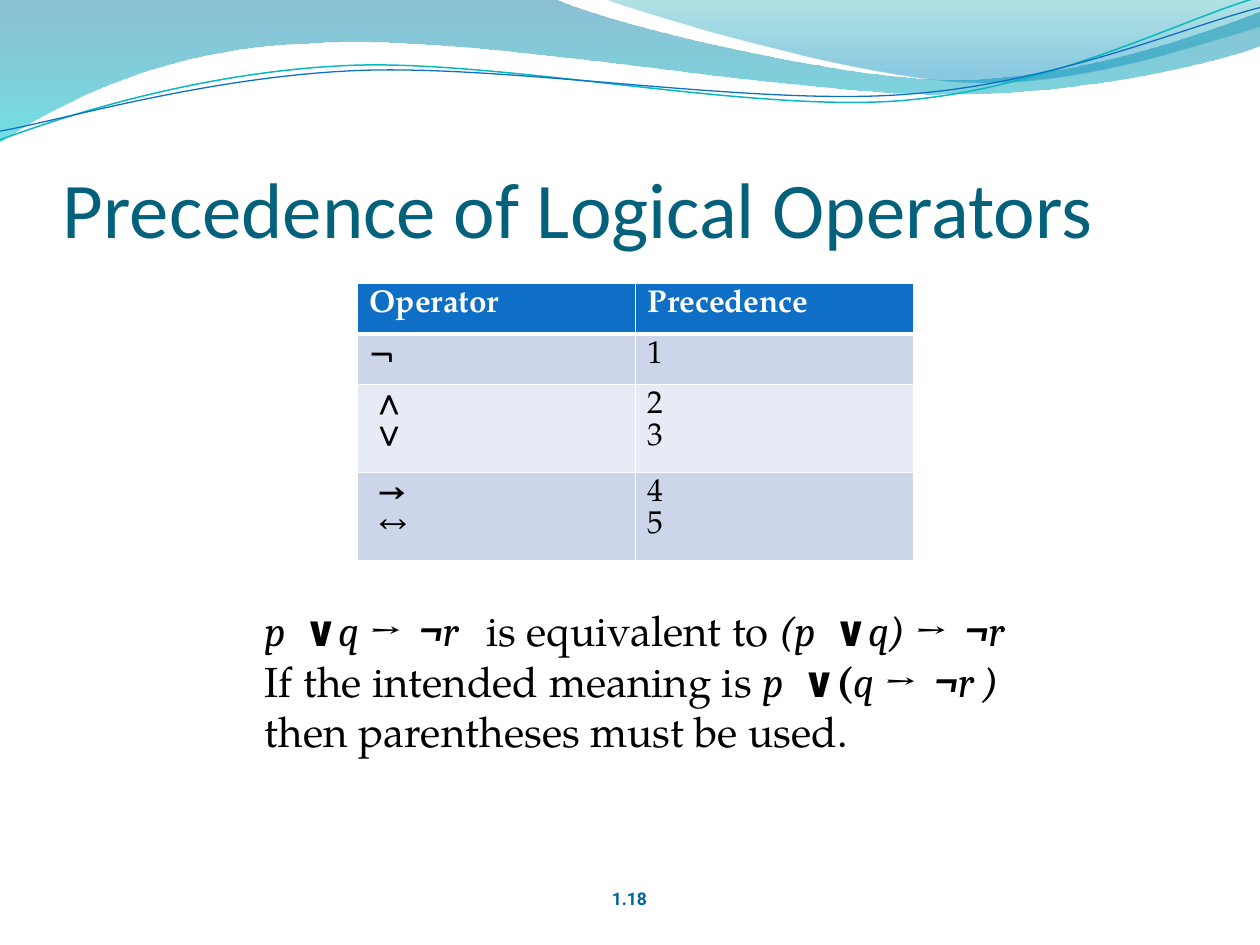
from dataclasses import dataclass
from math import cos, radians, sin
from typing import Optional

from lxml.etree import SubElement
from pptx import Presentation
from pptx.dml.color import RGBColor
from pptx.enum.text import MSO_ANCHOR as Anchor, PP_ALIGN as Align
from pptx.oxml.ns import qn
from pptx.util import Pt

SERIF, MATH = "TeX Gyre Pagella", "Cambria"
BLUE, WHITE, BLACK = "0F6FC6", "FFFFFF", "000000"
TILT, TILT_CENTER = 2.7, (359.4, 42)


@dataclass
class Stop:
    position: float
    color: str
    opacity: int


@dataclass
class Wave:
    start: tuple
    segments: list
    stops: tuple = ()
    line: Optional[tuple] = None


@dataclass
class Run:
    text: str
    name: str = SERIF
    size: float = 24
    color: str = BLACK
    bold: bool = False
    italic: bool = False


@dataclass
class Label:
    box: tuple
    paragraphs: list
    margins: tuple = (7.2, 3.6, 7.2, 3.6)
    anchor: Anchor = Anchor.TOP
    align: Align = Align.LEFT
    wrap: bool = True


@dataclass
class Row:
    height: float
    cells: tuple
    fill: str
    color: str = BLACK
    bold: tuple = (True, False)
    top: float = 1
    bottom: float = 1


def rgb(value: str) -> RGBColor:
    return RGBColor.from_string(value)


def upright(text: str) -> Run:
    return Run(text)


def italic(text: str) -> Run:
    return Run(text, MATH, italic=True)


def bold(text: str) -> Run:
    return Run(text, MATH, bold=True)


def bold_italic(text: str) -> Run:
    return Run(text, MATH, bold=True, italic=True)


WAVES = [
    Wave((0, 0), [(316.8, -0.7), (342.7, 12.2, 478.1, 45.4, 545.8, 45.4),
                  (614.2, 45.4, 689.8, 18.7, 720, 6.5), (720.7, 25.9),
                  (707.8, 31.7, 626.4, 54.7, 537.1, 54),
                  (447.8, 54, 275, 20.2, 185, 24.5),
                  (92.9, 25.9, 33.1, 59.8, -0.7, 81.4)],
         stops=(Stop(0, "0074A1", 45), Stop(1, "00C6CF", 55))),
    Wave((344.9, -0.7), [(366.5, 7.9, 491, 44.6, 553.7, 46.8),
                         (616.3, 49.7, 691.9, 23, 720, 15.1), (720, 0)],
         stops=(Stop(0, "00A1A9", 30), Stop(0.8, "008BBF", 45))),
    Wave((0, 79.9), [(34.6, 67, 113.8, 41, 199.4, 37.4),
                     (284.4, 33.8, 427, 64.1, 513.4, 57.6),
                     (599.8, 51.1, 675.4, 10.8, 718.6, -1.4)],
         line=("0AB8BF", 0.85)),
    Wave((0, 74.9), [(33.8, 69.1, 118.1, 43.9, 203.8, 40.3),
                     (290.2, 36.7, 429.8, 60.5, 516.2, 54),
                     (601.9, 48.2, 677.5, 15.1, 720, 4.3)],
         line=(BLUE, 0.75)),
]

LABELS = [
    Label((342, 504, 35.3, 19.4), [[Run("1.18", "Roboto", 10, "006699", True)]],
          align=Align.CENTER, wrap=False),
    Label((36, 55.4, 648, 90),
          [[Run("Precedence of Logical Operators", "Calibri", 45, "04617B")]],
          margins=(0, 3.6, 0, 0), anchor=Anchor.BOTTOM),
    Label((144, 342, 450, 152.6), [
        [italic("p  "), bold("∨"), italic("q "), bold_italic("→  ¬"), italic("r   "),
         upright("is equivalent to "), italic("(p  "), bold("∨"), italic("q)"),
         bold_italic(" →  ¬"), italic("r")],
        [upright("If the intended meaning is "), italic("p  "), bold("∨("), italic("q "),
         bold_italic("→  ¬"), italic("r )")],
        [upright("then parentheses must be used.")],
    ]),
]

ROWS = [
    Row(27.8, (["Operator"], ["Precedence"]), BLUE, WHITE, (True, True), bottom=3),
    Row(27.8, (["¬"], ["1"]), "CCD5EA", top=3),
    Row(49.3, ([" ∧", " ∨"], ["2", "3"]), "E7EBF5"),
    Row(49.3, ([" →", " ↔"], ["4", "5"]), "CCD5EA"),
]


def turn(point: tuple, degrees: float) -> tuple:
    (cx, cy), a = TILT_CENTER, radians(degrees)
    dx, dy = point[0] - cx, point[1] - cy
    return cx + dx * cos(a) - dy * sin(a), cy + dx * sin(a) + dy * cos(a)


def draw_wave(shapes, wave: Wave) -> None:
    tilt = TILT if wave.line else 0
    flat = [wave.start] + [seg[i:i + 2] for seg in wave.segments for i in range(0, len(seg), 2)]
    points = [tuple(map(Pt, turn(p, tilt))) for p in flat]
    builder = shapes.build_freeform(*points[0], scale=1.0)
    builder.add_line_segments(points[1:], close=bool(wave.stops))
    sp = builder.convert_to_shape()
    sp.rotation = -tilt
    sp.shadow.inherit = False
    steps = iter(list(sp._element.iter(qn("a:lnTo"))))
    for seg in wave.segments:
        first, *others = [next(steps) for _ in range(len(seg) // 2)]
        if others:
            curve = first.makeelement(qn("a:cubicBezTo"))
            first.addprevious(curve)
            for step in (first, *others):
                curve.append(step[0])
                step.getparent().remove(step)
    if wave.line:
        color, width = wave.line
        sp.fill.background()
        sp.line.color.rgb = rgb(color)
        sp.line.width = Pt(width)
        return
    sp.line.fill.background()
    sp.fill.gradient()
    sp.fill.gradient_angle = 270
    for target, stop in zip(sp.fill.gradient_stops, wave.stops):
        target.position = stop.position
        target.color.rgb = rgb(stop.color)
    for clr, stop in zip(sp._element.spPr.iter(qn("a:srgbClr")), wave.stops):
        SubElement(clr, qn("a:alpha"), val=str(stop.opacity * 1000))


def write(tf, paragraphs: list, align: Align = Align.LEFT) -> None:
    for i, runs in enumerate(paragraphs):
        p = tf.add_paragraph() if i else tf.paragraphs[0]
        p.alignment = align
        for run in runs:
            r = p.add_run()
            r.text = run.text
            formats = {"name": run.name, "size": Pt(run.size),
                       "bold": run.bold, "italic": run.italic}
            for key, value in formats.items():
                setattr(r.font, key, value)
            r.font.color.rgb = rgb(run.color)


def draw_label(shapes, label: Label) -> None:
    tf = shapes.add_textbox(*map(Pt, label.box)).text_frame
    tf.word_wrap = label.wrap
    tf.vertical_anchor = label.anchor
    for side, margin in zip(("left", "top", "right", "bottom"), label.margins):
        setattr(tf, f"margin_{side}", Pt(margin))
    write(tf, label.paragraphs, label.align)


def draw_borders(cell, widths: dict) -> None:
    pr = cell._tc.get_or_add_tcPr()
    for i, (side, width) in enumerate(widths.items()):
        ln = SubElement(pr, qn(f"a:ln{side}"), w=str(Pt(width)))
        SubElement(SubElement(ln, qn("a:solidFill")), qn("a:srgbClr"), val=WHITE)
        pr.insert(i, ln)


def draw_table(shapes, rows: list) -> None:
    height = sum(row.height for row in rows)
    table = shapes.add_table(len(rows), 2, Pt(204), Pt(162), Pt(318), Pt(height)).table
    for i, row in enumerate(rows):
        table.rows[i].height = Pt(row.height)
        for j, (lines, strong) in enumerate(zip(row.cells, row.bold)):
            cell = table.cell(i, j)
            cell.fill.solid()
            cell.fill.fore_color.rgb = rgb(row.fill)
            draw_borders(cell, {"L": 1, "R": 1, "T": row.top, "B": row.bottom})
            write(cell.text_frame, [[Run(text, size=18, color=row.color,
                                         bold=strong and text != " ↔")] for text in lines])


prs = Presentation()
prs.slide_width, prs.slide_height = Pt(720), Pt(540)
shapes = prs.slides.add_slide(prs.slide_layouts[6]).shapes
for wave in WAVES:
    draw_wave(shapes, wave)
for label in LABELS:
    draw_label(shapes, label)
draw_table(shapes, ROWS)
prs.save("out.pptx")
